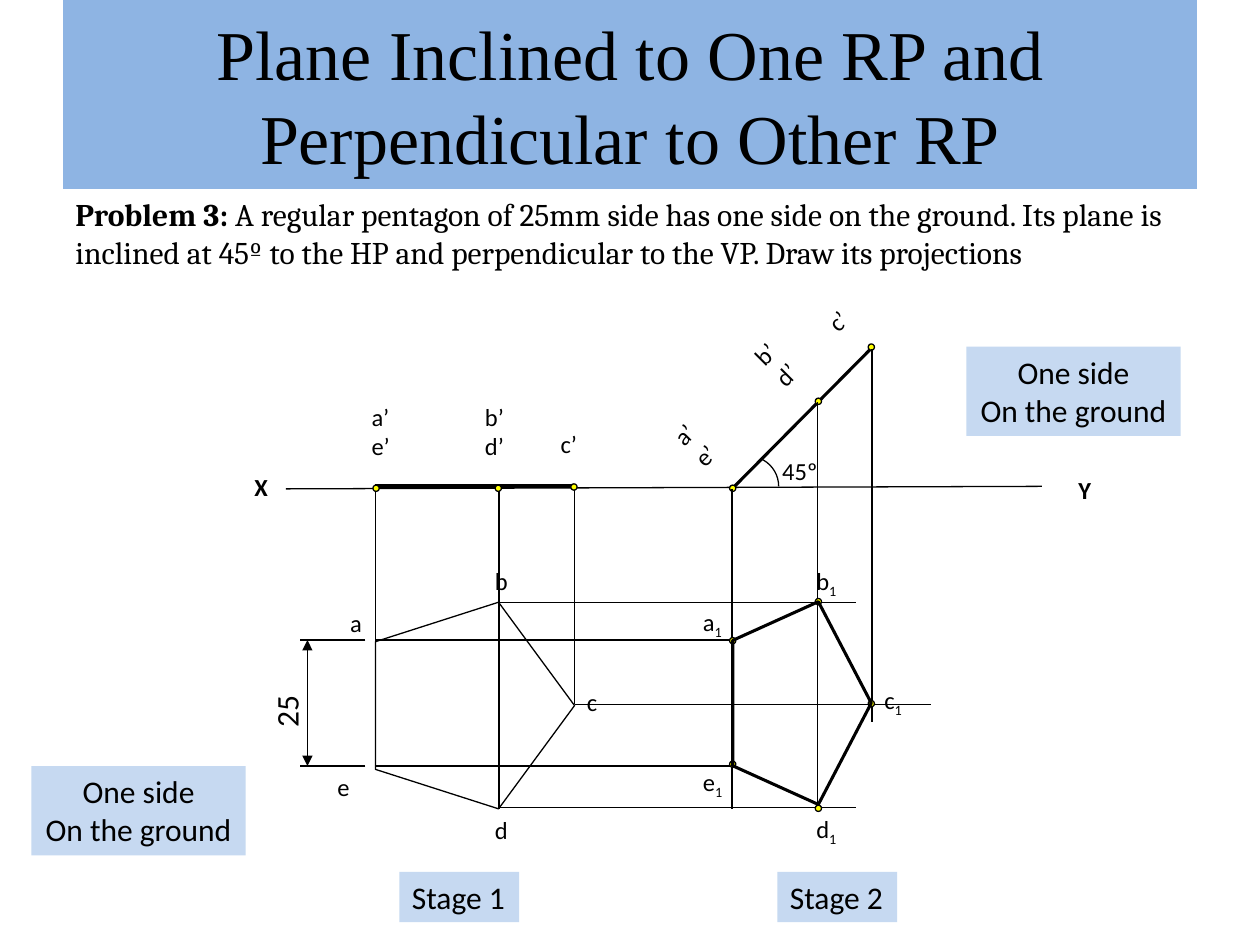
import pptx
import pptx.util
import pptx.dml.color
import pptx.enum.shapes
import pptx.enum.text
import pptx.oxml
import pptx.oxml.ns
from lxml import etree

PX = 9144  # EMU per px, 100 px to the inch

RGB = pptx.dml.color.RGBColor
BLACK = RGB(0x00, 0x00, 0x00)
YELLOW = RGB(0xFF, 0xFF, 0x00)
TITLE_BLUE = RGB(0x8E, 0xB4, 0xE3)
TAG_BLUE = RGB(0xC6, 0xD9, 0xF1)

SHAPE = pptx.enum.shapes.MSO_SHAPE
LEFT = pptx.enum.text.PP_ALIGN.LEFT
CENTER = pptx.enum.text.PP_ALIGN.CENTER
AUTO = pptx.enum.text.MSO_AUTO_SIZE

THIN, PLANE, HEAVY = 0.75, 1.75, 2.25
STAGE_GAP = 283  # from stage 1 to stage 2, also the length of each projector


def emu(*lengths):
    return [pptx.util.Emu(length * PX) for length in lengths]


def style_text(frame, lines, size=14, font="Calibri", align=LEFT):
    """Each line is a list of (words, format) runs."""
    for i, runs in enumerate(lines):
        paragraph = frame.paragraphs[0] if i == 0 else frame.add_paragraph()
        paragraph.alignment = align
        for words, look in runs:
            run = paragraph.add_run()
            run.text = words
            run.font.size = pptx.util.Pt(size)
            run.font.name = font
            run.font.bold = look == "bold"
            run.font.color.rgb = BLACK
            if look == "sub":
                run._r.get_or_add_rPr().set("baseline", "-25000")


def add_text(shapes, x, y, w, h, lines, rotation=0, fill=None, wrap=True, **look):
    if isinstance(lines, str):
        lines = [[(lines, None)]]
    box = shapes.add_textbox(*emu(x, y, w, h))
    box.rotation = rotation
    if fill is not None:
        box.fill.solid()
        box.fill.fore_color.rgb = fill
    box.text_frame.word_wrap = wrap
    box.text_frame.auto_size = AUTO.SHAPE_TO_FIT_TEXT
    style_text(box.text_frame, lines, **look)


def add_line(shapes, x1, y1, x2, y2, width=THIN, arrows=False):
    line = shapes.add_connector(
        pptx.enum.shapes.MSO_CONNECTOR.STRAIGHT, *emu(x1, y1, x2, y2))
    line.line.color.rgb = BLACK
    line.line.width = pptx.util.Pt(width)
    if arrows:
        for end in ("a:headEnd", "a:tailEnd"):
            mark = etree.SubElement(line.line._get_or_add_ln(), pptx.oxml.ns.qn(end))
            mark.set("type", "triangle")
    etree.SubElement(line._element.spPr, pptx.oxml.ns.qn("a:effectLst"))


def add_outline(shapes, kind, x, y, w, h, width=THIN, fill=None, rotation=0):
    outline = shapes.add_shape(kind, *emu(x, y, w, h))
    outline.shadow.inherit = False
    outline.rotation = rotation
    outline.line.color.rgb = BLACK
    outline.line.width = pptx.util.Pt(width)
    if fill is None:
        outline.fill.background()
    else:
        outline.fill.solid()
        outline.fill.fore_color.rgb = fill
    return outline


def add_dots(shapes, x, y, centres):
    for dx, dy in centres:
        add_outline(shapes, SHAPE.OVAL, x + dx - 2, y + dy - 2, 5, 5, fill=YELLOW)


def draw_heading(slide, x, y, w, h):
    title = slide.shapes.title
    title.left, title.top, title.width, title.height = emu(x, y, w, h)
    title.fill.solid()
    title.fill.fore_color.rgb = TITLE_BLUE
    frame = title.text_frame
    frame.auto_size = AUTO.NONE
    frame.vertical_anchor = pptx.enum.text.MSO_ANCHOR.MIDDLE
    style_text(frame, [[("Plane Inclined to One RP and Perpendicular to Other RP", None)]],
               size=40, font="Times New Roman", align=CENTER)
    problem = [("Problem 3:", "bold"),
               (" A regular pentagon of 25mm side has one side on the ground. "
                "Its plane is inclined at 45º to the HP and perpendicular to the VP. "
                "Draw its projections", None)]
    add_text(slide.shapes, x, y + h, w, 71, [problem], size=18, font="Cambria")


def draw_reference_line(shapes, x, y, w):
    add_line(shapes, x, y, x + w, y - 2)
    add_text(shapes, x - 35, y - 18, 46, 33, [[("X", "bold")]])
    add_text(shapes, x + w + 19, y - 16, 30, 33, [[("Y", "bold")]])


def draw_stage_1(shapes, x, y):
    # Top view
    add_outline(shapes, SHAPE.REGULAR_PENTAGON, x - 3, y + 93, 164, 158, rotation=90)
    for name, dx, dy in (("a", -30, 90), ("b", 85, 56), ("c", 158, 152),
                         ("d", 85, 254), ("e", -40, 220)):
        add_text(shapes, x + dx, y + dy, 41, 33, name)

    # Side dimension
    for dy in (120, 220):
        add_line(shapes, x - 8, y + dy, x - 60, y + dy)
    add_line(shapes, x - 54, y + 120, x - 54, y + 220, arrows=True)
    add_text(shapes, x - 100, y + 150, 58, 40, "25", rotation=270, size=18)

    # Front view on the reference line
    for dx, top, bottom in ((0, -2, 123), (98, 0, 254), (158, 0, 171)):
        add_line(shapes, x + dx, y + top, x + dx, y + bottom)
    add_line(shapes, x, y - 2, x + 158, y - 2, width=HEAVY)
    for name, dx, dy, h in (("a’e’", -13, -74, 57), ("b’d’", 77, -74, 57),
                            ("c’", 137, -52, 33)):
        add_text(shapes, x + dx, y + dy, 42, h, name)
    add_dots(shapes, x, y, ((0, -1), (97, -1), (157, -2)))


def draw_projectors(shapes, x, y):
    for dx, dy in ((0, 120), (0, 220), (98, 90), (98, 253), (158, 171)):
        add_line(shapes, x + dx, y + dy, x + dx + STAGE_GAP, y + dy)


def draw_stage_2(shapes, x, y):
    # Inclined front view
    inclined = shapes.add_group_shape().shapes
    add_line(inclined, x, y, x + 111, y - 112, width=PLANE)
    for name, dx, dy, h in (("a’e’", -48, -66, 57), ("b’d’", 16, -130, 57),
                            ("c’", 66, -153, 33)):
        add_text(inclined, x + dx, y + dy, 42, h, name, rotation=315)
    add_dots(inclined, x, y, ((0, -1), (68, -70), (110, -113)))

    # Top view below it
    for dx, top, bottom in ((0, 0, 254), (68, -69, 254), (111, -111, 185)):
        add_line(shapes, x + dx, y + top, x + dx, y + bottom)
    add_dots(shapes, x, y, ((0, 120), (68, 89), (110, 170), (68, 253), (0, 218)))
    add_outline(shapes, SHAPE.REGULAR_PENTAGON, x - 25, y + 115, 161, 110,
                width=PLANE, rotation=90)
    for name, dx, dy in (("a", -33, 89), ("b", 57, 56), ("c", 111, 151),
                         ("d", 57, 253), ("e", -33, 216)):
        add_text(shapes, x + dx, y + dy, 42, 33, [[(name, None), ("1", "sub")]])

    # Angle to the ground
    arc = add_outline(shapes, SHAPE.ARC, x - 11, y - 26, 48, 48)
    arc.adjustments[0] = 297 * 0.6  # start angle, in 100000ths of 1/60000 degree
    arc.adjustments[1] = 0
    add_text(shapes, x + 30, y - 31, 55, 33, "45º")


def draw_tags(shapes):
    for number, x in ((1, 317), (2, 617)):
        add_text(shapes, x, 692, 95, 40, f"Stage {number}",
                 fill=TAG_BLUE, wrap=False, size=18)
    ground = [[("One side", None)], [("On the ground", None)]]
    for x, y in ((25, 608), (767, 275)):
        add_text(shapes, x, y, 170, 71, ground,
                 fill=TAG_BLUE, wrap=False, size=18, align=CENTER)


def main():
    deck = pptx.Presentation()
    deck.slide_width, deck.slide_height = emu(1000, 750)
    slide = deck.slides.add_slide(deck.slide_layouts[5])
    stage_x, ground_y = 298, 388
    draw_heading(slide, 50, 0, 900, 150)
    draw_reference_line(slide.shapes, 227, ground_y, 600)
    draw_stage_1(slide.shapes, stage_x, ground_y)
    draw_projectors(slide.shapes, stage_x, ground_y)
    draw_stage_2(slide.shapes, stage_x + STAGE_GAP, ground_y)
    draw_tags(slide.shapes)
    deck.save("out.pptx")


if __name__ == "__main__":
    main()
